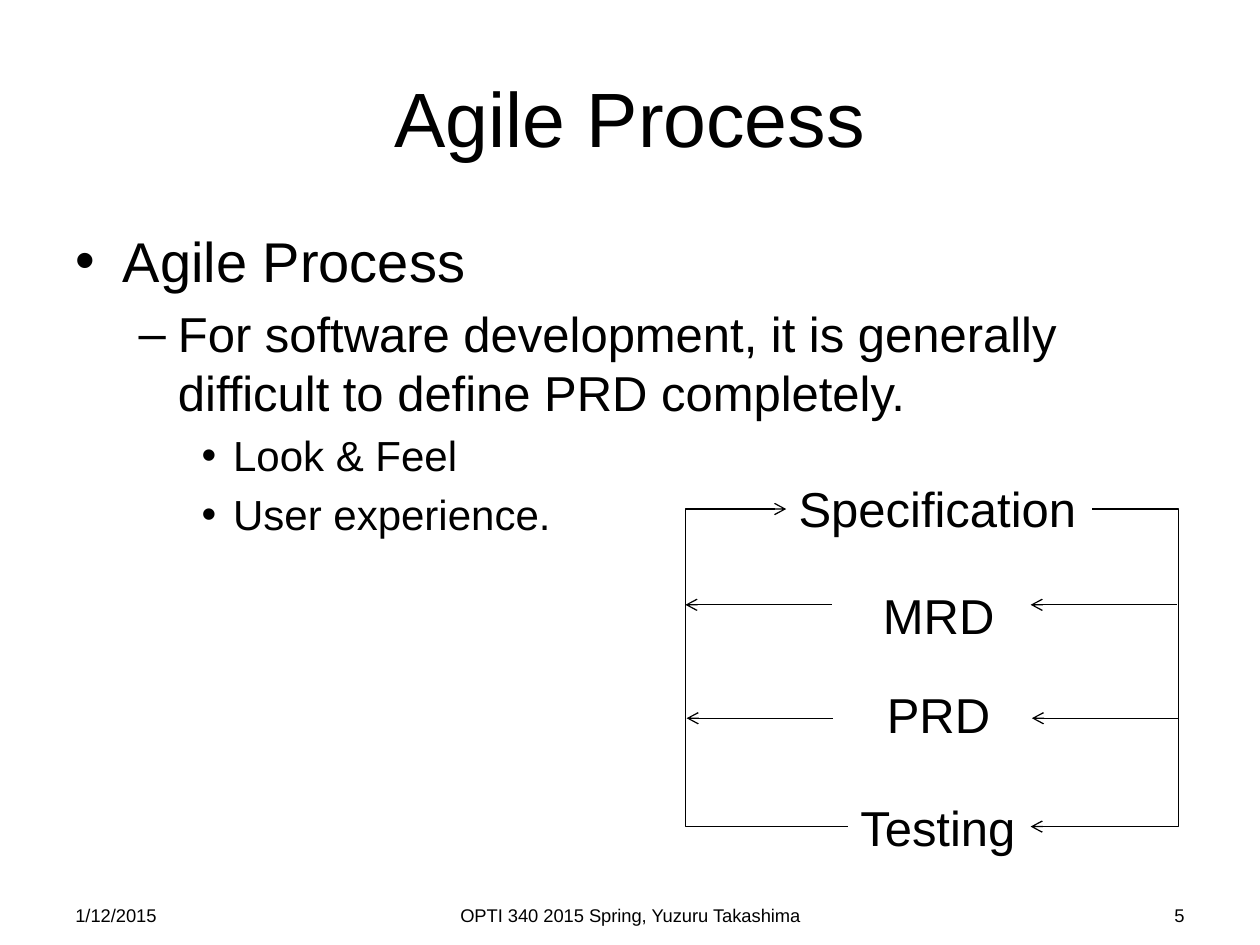
from dataclasses import dataclass
from typing import Optional

import pptx
import pptx.dml.color
import pptx.enum.shapes
import pptx.enum.text
import pptx.oxml
import pptx.oxml.ns
import pptx.util

Inches = pptx.util.Inches
Pt = pptx.util.Pt
Align = pptx.enum.text.PP_ALIGN
AutoSize = pptx.enum.text.MSO_AUTO_SIZE
Connector = pptx.enum.shapes.MSO_CONNECTOR


@dataclass(frozen=True)
class Theme:
    """Font, colour and type sizes of the slide."""
    font: str = "Arial"
    ink: pptx.dml.color.RGBColor = pptx.dml.color.RGBColor(0, 0, 0)
    title: float = 44
    levels: tuple = (32, 28, 24)
    label: float = 28
    footer: float = 10.5
    line: float = 0.75


@dataclass(frozen=True)
class Label:
    """A text box; place is left, top, width, height in inches."""
    text: str
    place: tuple
    size: float
    align: Align = Align.LEFT
    wrap: bool = True


@dataclass(frozen=True)
class Arrow:
    """An arrow; bend is the elbow position as a share of its width."""
    start: tuple
    end: tuple
    bend: Optional[float] = None


THEME = Theme()

BULLETS = [
    (0, "Agile Process"),
    (1, "For software development, it is generally difficult to define PRD completely."),
    (2, "Look & Feel"),
    (2, "User experience."),
]

FOOTERS = [
    Label("1/12/2015", (0.5, 7.13, 2.33, 0.52), THEME.footer),
    Label("OPTI 340 2015 Spring, Yuzuru Takashima", (3.42, 7.13, 3.17, 0.52),
          THEME.footer, Align.CENTER),
    Label("5", (7.17, 7.13, 2.33, 0.52), THEME.footer, Align.RIGHT),
]

STAGES = [
    Label(text, (left, top, width, 0.57), THEME.label, wrap=False)
    for text, left, top, width in [
        ("Specification", 6.24, 3.75, 2.43),
        ("MRD", 6.91, 4.6, 1.1),
        ("PRD", 6.94, 5.38, 1.03),
        ("Testing", 6.73, 6.28, 1.45),
    ]
]

LOOPS = [
    Arrow((8.67, 4.04), (8.18, 6.56), -1.4),
    Arrow((6.73, 6.56), (6.24, 4.04), 2.63),
]
BRANCHES = [
    Arrow((right + shift, y), (right + shift - 1.16, y))
    for right in (9.34, 6.6)
    for y, shift in ((4.8, 0), (5.7, 0.01))
]


def move(sp, place: tuple) -> None:
    """Set the position and size of a shape in inches."""
    sp.left, sp.top, sp.width, sp.height = map(Inches, place)


def style(p, size: float) -> None:
    """Format every run of a paragraph."""
    for r in p.runs:
        r.font.name = THEME.font
        r.font.size = Pt(size)
        r.font.color.rgb = THEME.ink


def fill_placeholders(s) -> None:
    """Write the title and the bullet list."""
    title, body = s.shapes.title, s.placeholders[1]
    move(title, (0.5, 0.3, 9, 1.25))
    move(body, (0.5, 1.75, 9, 4.95))
    title.text_frame.text = "Agile Process"
    style(title.text_frame.paragraphs[0], THEME.title)
    tf = body.text_frame
    tf.text = "\n".join(text for _, text in BULLETS)
    for p, (level, _) in zip(tf.paragraphs, BULLETS):
        p.level = level
        style(p, THEME.levels[level])
    for frame in (title.text_frame, tf):
        frame.auto_size = AutoSize.NONE


def add_label(s, label: Label) -> None:
    """Add one text box."""
    sp = s.shapes.add_textbox(*map(Inches, label.place))
    tf = sp.text_frame
    tf.word_wrap = label.wrap
    tf.auto_size = AutoSize.NONE if label.wrap else AutoSize.SHAPE_TO_FIT_TEXT
    tf.text = label.text
    p = tf.paragraphs[0]
    p.alignment = label.align
    style(p, label.size)


def add_arrow(s, arrow: Arrow) -> None:
    """Add a straight or elbow connector with an open arrowhead."""
    kind = Connector.STRAIGHT if arrow.bend is None else Connector.ELBOW
    sp = s.shapes.add_connector(kind, *map(Inches, arrow.start + arrow.end))
    sp.line.color.rgb = THEME.ink
    sp.line.width = Pt(THEME.line)
    qn, sub = pptx.oxml.ns.qn, pptx.oxml.xmlchemy.OxmlElement
    head = sub("a:tailEnd")
    head.set("type", "arrow")
    sp.line._get_or_add_ln().append(head)
    props = sp._element.spPr
    props.append(sub("a:effectLst"))
    if arrow.bend is not None:
        guide = sub("a:gd")
        guide.set("name", "adj1")
        guide.set("fmla", f"val {round(arrow.bend * 100000)}")
        props.find(qn("a:prstGeom")).get_or_add_avLst().append(guide)


def main() -> None:
    """Build and save the slide."""
    prs = pptx.Presentation()
    prs.slide_width, prs.slide_height = Inches(10), Inches(7.5)
    s = prs.slides.add_slide(prs.slide_layouts[1])
    fill_placeholders(s)
    for label in FOOTERS + STAGES:
        add_label(s, label)
    for arrow in LOOPS + BRANCHES:
        add_arrow(s, arrow)
    prs.save("out.pptx")


main()
